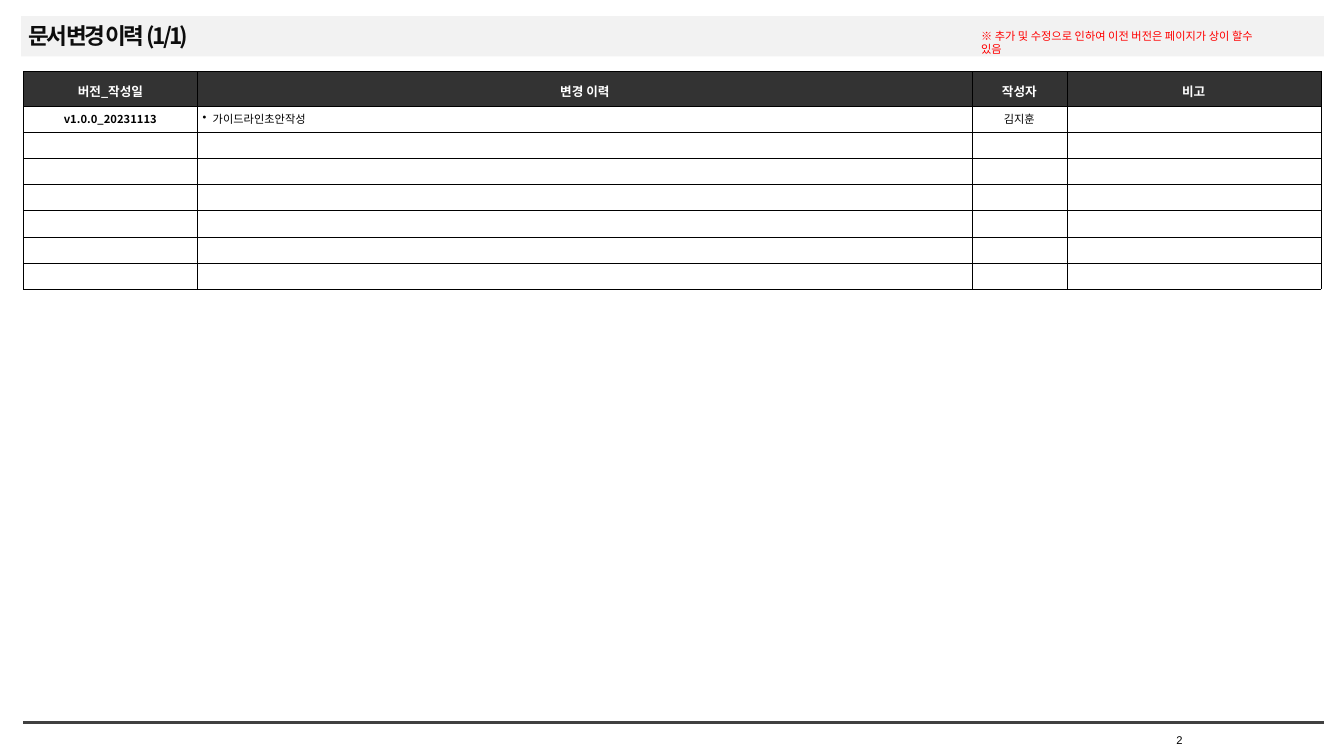
from dataclasses import dataclass

from lxml import etree
from pptx import Presentation
from pptx.dml.color import RGBColor
from pptx.enum.shapes import MSO_CONNECTOR, MSO_SHAPE
from pptx.enum.text import MSO_ANCHOR, PP_ALIGN
from pptx.oxml.ns import qn
from pptx.util import Inches, Pt

STRAIGHT = MSO_CONNECTOR.STRAIGHT
RECTANGLE = MSO_SHAPE.RECTANGLE
MIDDLE, TOP = MSO_ANCHOR.MIDDLE, MSO_ANCHOR.TOP
LEFT, CENTER, RIGHT = PP_ALIGN.LEFT, PP_ALIGN.CENTER, PP_ALIGN.RIGHT


@dataclass(frozen=True)
class Theme:
    korean: str = "Noto Sans CJK KR"
    latin: str = "Arial"
    title_size: float = 16.1
    header_size: float = 9
    body_size: float = 8
    band: str = "F2F2F2"
    rule: str = "404040"
    title: str = "0D0D0D"
    header: str = "333333"
    white: str = "FFFFFF"
    black: str = "000000"
    warning: str = "FF0000"


THEME = Theme()
MARGIN = Inches(0.05)
COLUMN_WIDTHS = (1.73, 7.68, 0.94, 2.52)
HEADER_HEIGHT, ROW_HEIGHT = 0.34, 0.26
HEADINGS = ("버전_작성일", "변경 이력", "작성자", "비고")
HISTORY = [("v1.0.0_20231113", "가이드라인초안작성", "김지훈", "")]
EMPTY_ROWS = 6


def color(value):
    return RGBColor.from_string(value)


def inches(*lengths):
    return [Inches(length) for length in lengths]


def style_text(paragraph, size, ink, bold=False, font=THEME.korean, spacing=None):
    for span in paragraph.runs:
        span.font.size = Pt(size)
        span.font.bold = bold
        span.font.name = font
        span.font.color.rgb = color(ink)
        properties = span.font._element
        etree.SubElement(properties, qn("a:ea"), typeface=font)
        if spacing is not None:
            properties.set("spc", str(round(spacing * 100)))


def set_margins(frame):
    frame.margin_left = frame.margin_right = MARGIN
    frame.margin_top = frame.margin_bottom = MARGIN


def add_title(page, text):
    title = page.shapes.title
    title.left, title.top, title.width, title.height = inches(0.23, 0.18, 9.49, 0.38)
    frame = title.text_frame
    frame.text = text
    frame.vertical_anchor = MIDDLE
    set_margins(frame)
    paragraph = frame.paragraphs[0]
    paragraph.alignment = LEFT
    paragraph.line_spacing = 0.9
    style_text(paragraph, THEME.title_size, THEME.title, bold=True, spacing=-1.9)


def add_title_band(page):
    """Place the grey band behind the title."""
    band = page.shapes.add_shape(RECTANGLE, *inches(0.21, 0.16, 12.92, 0.4))
    band.shadow.inherit = False
    band.fill.solid()
    band.fill.fore_color.rgb = color(THEME.band)
    band.line.fill.background()
    page.shapes.title.element.addprevious(band.element)


def add_footer_rule(page):
    rule = page.shapes.add_connector(STRAIGHT, *inches(0.23, 7.17, 13.13, 7.17))
    rule.line.color.rgb = color(THEME.rule)
    rule.line.width = Pt(2.25)
    etree.SubElement(rule.element.spPr, qn("a:effectLst"))


def add_label(page, text, place, ink, font, alignment=LEFT, anchor=TOP, wrap=True):
    box = page.shapes.add_textbox(*inches(*place))
    frame = box.text_frame
    frame.text = text
    frame.word_wrap = wrap
    frame.vertical_anchor = anchor
    set_margins(frame)
    paragraph = frame.paragraphs[0]
    paragraph.alignment = alignment
    style_text(paragraph, THEME.body_size, ink, font=font)


def add_borders(cell):
    properties = cell._tc.get_or_add_tcPr()
    for side in ("lnL", "lnR", "lnT", "lnB"):
        border = etree.SubElement(properties, qn(f"a:{side}"), w=str(Pt(0.25)))
        fill = etree.SubElement(border, qn("a:solidFill"))
        etree.SubElement(fill, qn("a:srgbClr"), val=THEME.black)


def add_bullet(paragraph):
    properties = paragraph._p.get_or_add_pPr()
    properties.set("marL", str(Inches(0.1)))
    properties.set("indent", str(Inches(-0.1)))
    etree.SubElement(properties, qn("a:buChar"), char="•")


def fill_cell(cell, text, fill):
    """Give a cell its look and text, and return its paragraph."""
    add_borders(cell)
    cell.fill.solid()
    cell.fill.fore_color.rgb = color(fill)
    cell.vertical_anchor = MIDDLE
    set_margins(cell)
    paragraph = cell.text_frame.paragraphs[0]
    if text:
        paragraph.text = text
    else:
        # An empty cell takes its line height from the end mark.
        end = etree.SubElement(paragraph._p, qn("a:endParaRPr"))
        end.set("sz", str(THEME.body_size * 100))
        etree.SubElement(end, qn("a:latin"), typeface=THEME.korean)
        etree.SubElement(end, qn("a:ea"), typeface=THEME.korean)
    return paragraph


def add_history_table(page):
    records = HISTORY + [("",) * len(HEADINGS)] * EMPTY_ROWS
    height = HEADER_HEIGHT + ROW_HEIGHT * len(records)
    place = inches(0.23, 0.71, sum(COLUMN_WIDTHS), height)
    table = page.shapes.add_table(len(records) + 1, len(HEADINGS), *place).table
    table.first_row = table.horz_banding = False
    for column, width in zip(table.columns, COLUMN_WIDTHS):
        column.width = Inches(width)
    for row in table.rows:
        row.height = Inches(ROW_HEIGHT)
    table.rows[0].height = Inches(HEADER_HEIGHT)

    for column, heading in enumerate(HEADINGS):
        paragraph = fill_cell(table.cell(0, column), heading, THEME.header)
        paragraph.alignment = CENTER
        paragraph.line_spacing = 1.3
        style_text(paragraph, THEME.header_size, THEME.white, bold=True)

    for row, record in enumerate(records, start=1):
        for column, text in enumerate(record):
            paragraph = fill_cell(table.cell(row, column), text, THEME.white)
            is_change = HEADINGS[column] == "변경 이력"
            paragraph.alignment = LEFT if is_change else CENTER
            if is_change and text:
                add_bullet(paragraph)
            style_text(paragraph, THEME.body_size, THEME.black, bold=column == 0)


def main():
    deck = Presentation()
    deck.slide_width, deck.slide_height = inches(13.33, 7.5)
    page = deck.slides.add_slide(deck.slide_layouts.get_by_name("Title Only"))
    add_title(page, "문서 변경 이력 (1/1)")
    add_title_band(page)
    add_footer_rule(page)
    add_label(page, "2", (11.6, 7.22, 0.18, 0.25), THEME.black, THEME.latin,
              alignment=RIGHT, anchor=MIDDLE, wrap=False)
    add_history_table(page)
    add_label(page, "※ 추가 및 수정으로 인하여 이전 버전은 페이지가 상이 할수 있음",
              (9.68, 0.24, 2.89, 0.25), THEME.warning, THEME.korean)
    deck.save("out.pptx")


if __name__ == "__main__":
    main()
